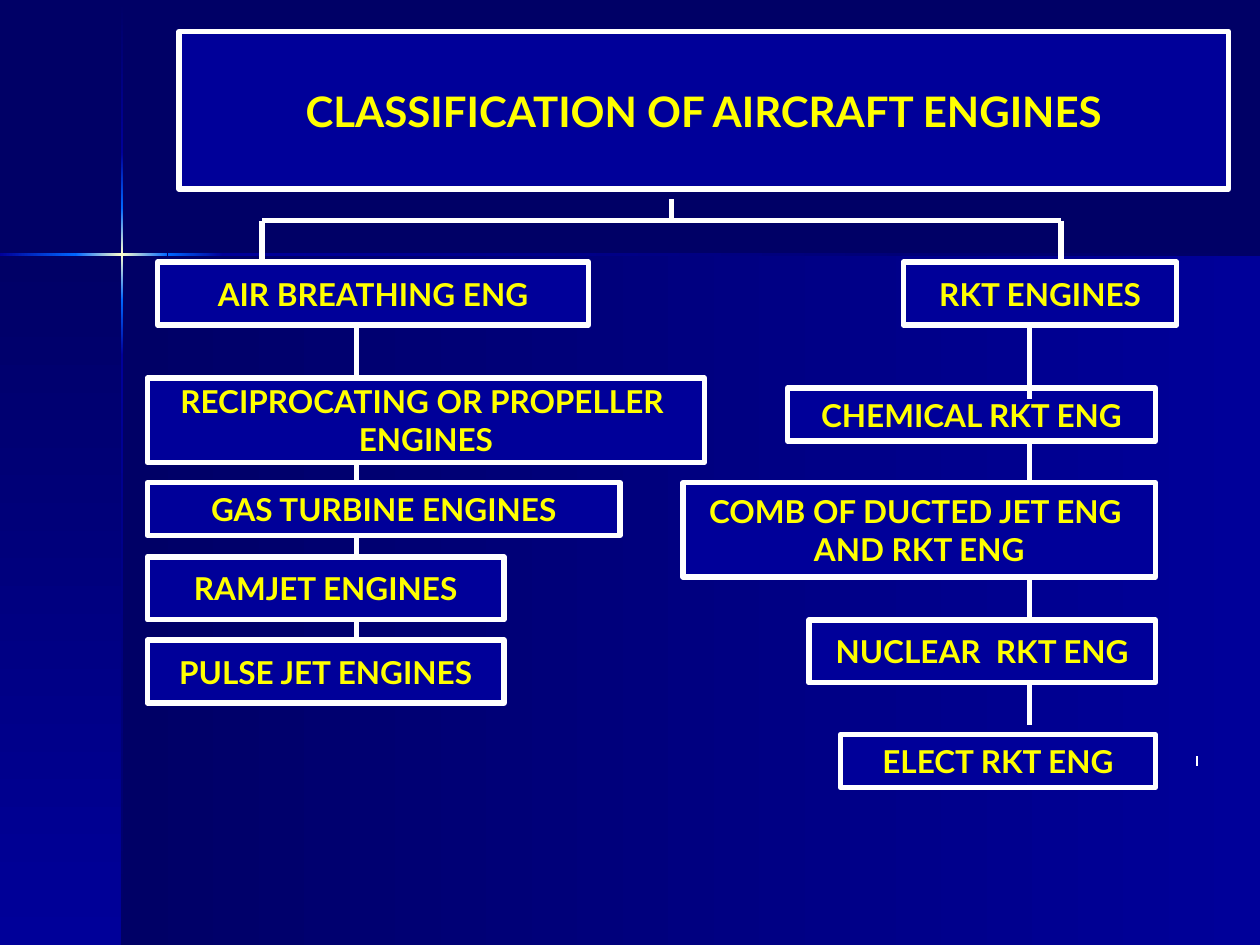
import itertools

import lxml.etree
import pptx
import pptx.dml.color
import pptx.enum.dml
import pptx.enum.shapes
import pptx.enum.text
import pptx.oxml.ns
import pptx.util

Inches = pptx.util.Inches
qn = pptx.oxml.ns.qn

NAVY, BLUE, BRIGHT, CREAM = "000066", "000099", "0066FF", "FFFFCC"
WHITE, YELLOW = "FFFFFF", "FFFF00"
FONT = {"name": "Lato", "bold": True}
FRAME = {
    "word_wrap": False,
    "auto_size": pptx.enum.text.MSO_AUTO_SIZE.NONE,
    "vertical_anchor": pptx.enum.text.MSO_ANCHOR.MIDDLE,
}

# Each box: text, left, top, width, height
TITLE = ("CLASSIFICATION OF AIRCRAFT ENGINES", 1.42, 0.25, 8.33, 1.25)
AIR_BREATHING = [
    ("AIR BREATHING ENG", 1.25, 2.08, 3.42, 0.5),
    ("RECIPROCATING OR PROPELLER \nENGINES", 1.17, 3, 4.42, 0.67),
    ("GAS TURBINE ENGINES", 1.17, 3.83, 3.75, 0.42),
    ("RAMJET ENGINES", 1.17, 4.42, 2.83, 0.5),
    ("PULSE JET ENGINES", 1.17, 5.08, 2.83, 0.5),
]
ROCKET = [
    ("RKT ENGINES", 7.17, 2.08, 2.17, 0.5),
    ("CHEMICAL RKT ENG", 6.25, 3.08, 2.92, 0.42),
    ("COMB OF DUCTED JET ENG \nAND RKT ENG", 5.42, 3.83, 3.75, 0.75),
    ("NUCLEAR  RKT ENG", 6.42, 4.92, 2.75, 0.5),
    ("ELECT RKT ENG", 6.67, 5.83, 2.5, 0.42),
]


def rgb(value):
    return pptx.dml.color.RGBColor.from_string(value)


def set_attributes(target, values):
    for name, value in values.items():
        setattr(target, name, value)


def add_rectangle(slide, left, top, width, height):
    rectangle = slide.shapes.add_shape(
        pptx.enum.shapes.MSO_SHAPE.RECTANGLE,
        Inches(left), Inches(top), Inches(width), Inches(height))
    rectangle.shadow.inherit = False
    return rectangle


def add_gradient(slide, left, top, width, height, colours, vertical=False):
    """Borderless band whose colours are spread evenly along it."""
    band = add_rectangle(slide, left, top, width, height)
    band.line.fill.background()
    band.fill.gradient()
    band.fill.gradient_angle = 270 if vertical else 0
    stops = band.element.spPr.find(".//" + qn("a:gsLst"))
    for stop in list(stops):
        stops.remove(stop)
    for index, colour in enumerate(colours):
        position = 100000 * index // (len(colours) - 1)
        stop = lxml.etree.SubElement(stops, qn("a:gs"), pos=str(position))
        lxml.etree.SubElement(stop, qn("a:srgbClr"), val=colour)


def add_backdrop(slide):
    slide.background.fill.solid()
    slide.background.fill.fore_color.rgb = rgb(NAVY)
    add_gradient(slide, 0.97, 2.02, 9.03, 5.48, [NAVY, BLUE])
    add_gradient(slide, 0, 2.02, 0.97, 5.48, [NAVY, BLUE], vertical=True)

    # Thin beams crossing in a glow
    beam = [[NAVY, BLUE], [BLUE, BRIGHT], [BRIGHT, CREAM, BRIGHT],
            [BRIGHT, BLUE], [BLUE, NAVY]]
    down = itertools.pairwise([0.01, 1.21, 1.65, 2.38, 2.82, 7.5])
    for (start, end), colours in zip(down, beam):
        add_gradient(slide, 0.96, start, 0.02, end - start, colours, vertical=True)
    across = itertools.pairwise([0, 0.6, 1.33, 1.77, 10])
    for (start, end), colours in zip(across, beam[1:]):
        add_gradient(slide, start, 2.01, end - start, 0.02, colours)


def format_box(box, text, size):
    box.fill.solid()
    box.fill.fore_color.rgb = rgb(BLUE)
    box.line.color.rgb = rgb(WHITE)
    box.line.width = pptx.util.Pt(3)
    box.text_frame.text = text
    set_attributes(box.text_frame, FRAME)
    for paragraph in box.text_frame.paragraphs:
        paragraph.alignment = pptx.enum.text.PP_ALIGN.CENTER
        set_attributes(paragraph.font, FONT | {"size": pptx.util.Pt(size)})
        paragraph.font.color.rgb = rgb(YELLOW)


def add_title(slide):
    text, *place = TITLE
    title = slide.shapes.title
    sides = ("left", "top", "width", "height")
    set_attributes(title, dict(zip(sides, map(Inches, place))))
    format_box(title, text, 24)


def add_line(slide, x1, y1, x2, y2, width=3):
    line = slide.shapes.add_connector(
        pptx.enum.shapes.MSO_CONNECTOR.STRAIGHT,
        Inches(x1), Inches(y1), Inches(x2), Inches(y2))
    line.line.color.rgb = rgb(WHITE)
    line.line.width = pptx.util.Pt(width)
    lxml.etree.SubElement(line.element.spPr, qn("a:effectLst"))


def add_branch(slide, boxes, trunk, ends):
    """Stack of boxes; trunk lines run from each box bottom to the given ends."""
    for text, *place in boxes:
        format_box(add_rectangle(slide, *place), text, 18)
    for (_, _, top, _, height), end in zip(boxes, ends):
        add_line(slide, trunk, top + height, trunk, end)


def main():
    presentation = pptx.Presentation()
    presentation.slide_width = Inches(10)
    presentation.slide_height = Inches(7.5)
    slide = presentation.slides.add_slide(presentation.slide_layouts[5])

    add_backdrop(slide)
    add_title(slide)

    # The two engine families
    add_branch(slide, AIR_BREATHING, 2.83, [box[2] for box in AIR_BREATHING[1:]])
    add_branch(slide, ROCKET, 8.17, [3.17, 3.83, 4.92, 5.75])

    # Fork from the title to both families
    add_line(slide, 5.33, 1.58, 5.33, 1.75)
    add_line(slide, 2.08, 1.75, 8.42, 1.75)
    for x in (2.08, 8.42):
        add_line(slide, x, 1.75, x, 2.08)

    # Small tick beside the last rocket box
    add_line(slide, 9.5, 6, 9.5, 6.08, width=0.75)

    presentation.save("out.pptx")


if __name__ == "__main__":
    main()
